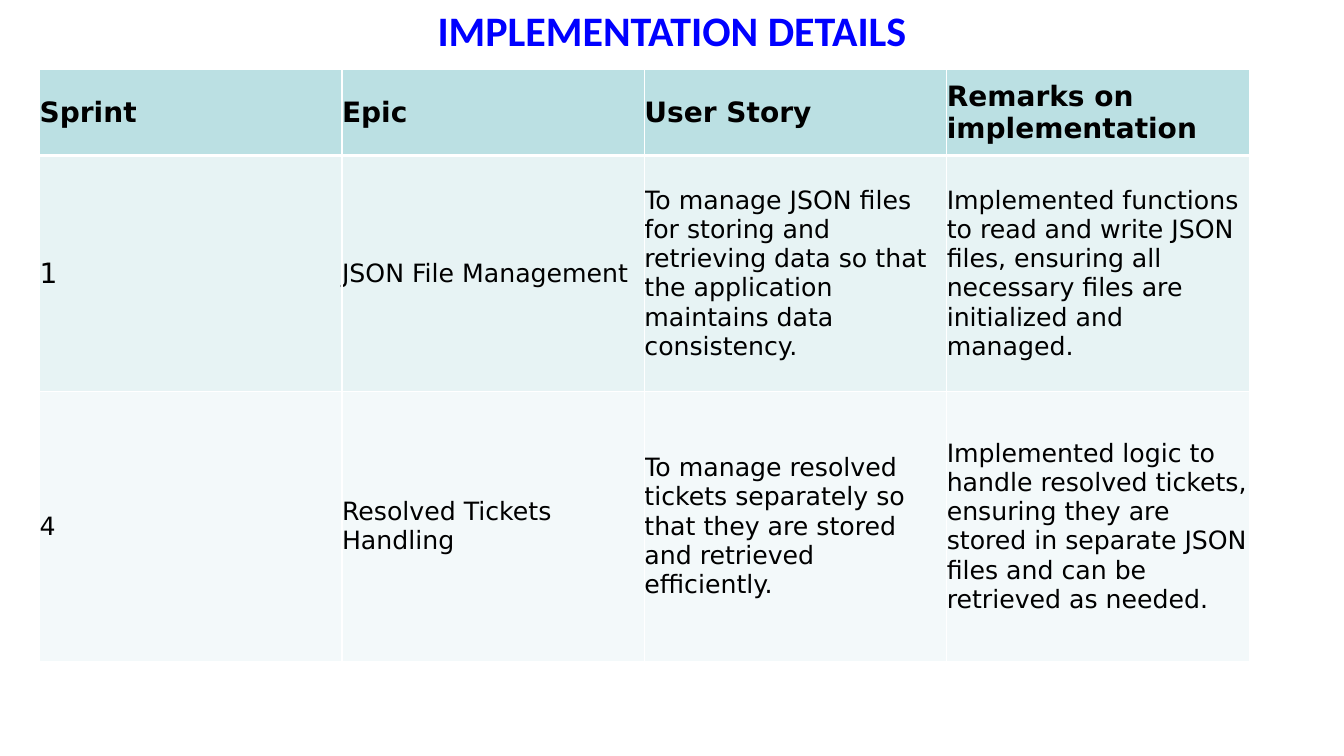
from lxml.etree import SubElement
from pptx import Presentation
from pptx.dml.color import RGBColor
from pptx.enum.text import MSO_ANCHOR, PP_ALIGN
from pptx.oxml.ns import qn
from pptx.util import Cm, Pt

HEADINGS = ["Sprint", "Epic", "User Story", "Remarks on implementation"]
SPRINTS = [
    ["1", "JSON File Management",
     "To manage JSON files for storing and retrieving data so that the "
     "application maintains data consistency.",
     "Implemented functions to read and write JSON files, ensuring all "
     "necessary files are initialized and managed."],
    ["4", "Resolved Tickets Handling",
     "To manage resolved tickets separately so that they are stored and "
     "retrieved efficiently.",
     "Implemented logic to handle resolved tickets, ensuring they are stored "
     "in separate JSON files and can be retrieved as needed."],
]
ROW_FILLS = ["BBE0E3", "E7F3F4", "F3F9FA"]
ROW_HEIGHTS = [2.16, 5.94, 6.81]
COLUMN_WIDTH = 7.62
BORDER_COLOR = "FFFFFF"


def color(hex_code):
    return RGBColor.from_string(hex_code)


def write_text(frame, text, size=18, font="DejaVu Sans", fill="000000",
               bold=False, align=PP_ALIGN.LEFT, margins=(0, 0)):
    """Fill a text frame with one formatted paragraph."""
    frame.word_wrap = True
    frame.vertical_anchor = MSO_ANCHOR.MIDDLE
    frame.margin_left = frame.margin_right = Cm(margins[0])
    frame.margin_top = frame.margin_bottom = Cm(margins[1])
    paragraph = frame.paragraphs[0]
    paragraph.alignment = align
    run = paragraph.add_run()
    run.text = text
    run.font.size = Pt(size)
    run.font.name = font
    run.font.bold = bold
    run.font.color.rgb = color(fill)


def add_title(slide, text):
    title = slide.shapes.add_textbox(Cm(1.7), Cm(-0.25), Cm(30.48), Cm(2))
    write_text(title.text_frame, text, size=30, font="Calibri", fill="0000FF",
               bold=True, align=PP_ALIGN.CENTER, margins=(0.25, 0.15))


def add_borders(cell, top=1, bottom=1):
    properties = cell._tc.get_or_add_tcPr()
    for side, width in (("L", 1), ("R", 1), ("T", top), ("B", bottom)):
        line = SubElement(properties, qn(f"a:ln{side}"), w=str(Pt(width)))
        solid = SubElement(line, qn("a:solidFill"))
        SubElement(solid, qn("a:srgbClr"), val=BORDER_COLOR)


def format_cell(cell, text, row, column):
    is_heading = row == 0
    cell.vertical_anchor = MSO_ANCHOR.MIDDLE
    # The first sprint number is as large as the headings
    large = is_heading or (row, column) == (1, 0)
    write_text(cell.text_frame, text, size=20 if large else 18, bold=is_heading)
    cell.margin_left = cell.margin_right = Cm(0)
    cell.margin_top = cell.margin_bottom = Cm(0)
    # A thick rule separates the headings from the sprints
    add_borders(cell, top=3 if row == 1 else 1, bottom=3 if is_heading else 1)
    cell.fill.solid()
    cell.fill.fore_color.rgb = color(ROW_FILLS[row])


def add_sprint_table(slide, rows):
    columns = len(HEADINGS)
    table = slide.shapes.add_table(
        len(rows), columns, Cm(1), Cm(1.76),
        Cm(COLUMN_WIDTH * columns), Cm(sum(ROW_HEIGHTS))).table
    for column in table.columns:
        column.width = Cm(COLUMN_WIDTH)
    for r, texts in enumerate(rows):
        table.rows[r].height = Cm(ROW_HEIGHTS[r])
        for c, text in enumerate(texts):
            format_cell(table.cell(r, c), text, r, c)


def main():
    deck = Presentation()
    deck.slide_width, deck.slide_height = Cm(33.87), Cm(19.05)
    slide = deck.slides.add_slide(deck.slide_layouts[6])

    # Heading
    add_title(slide, "IMPLEMENTATION DETAILS")
    # Sprints with their stories
    add_sprint_table(slide, [HEADINGS, *SPRINTS])

    deck.save("out.pptx")


if __name__ == "__main__":
    main()
